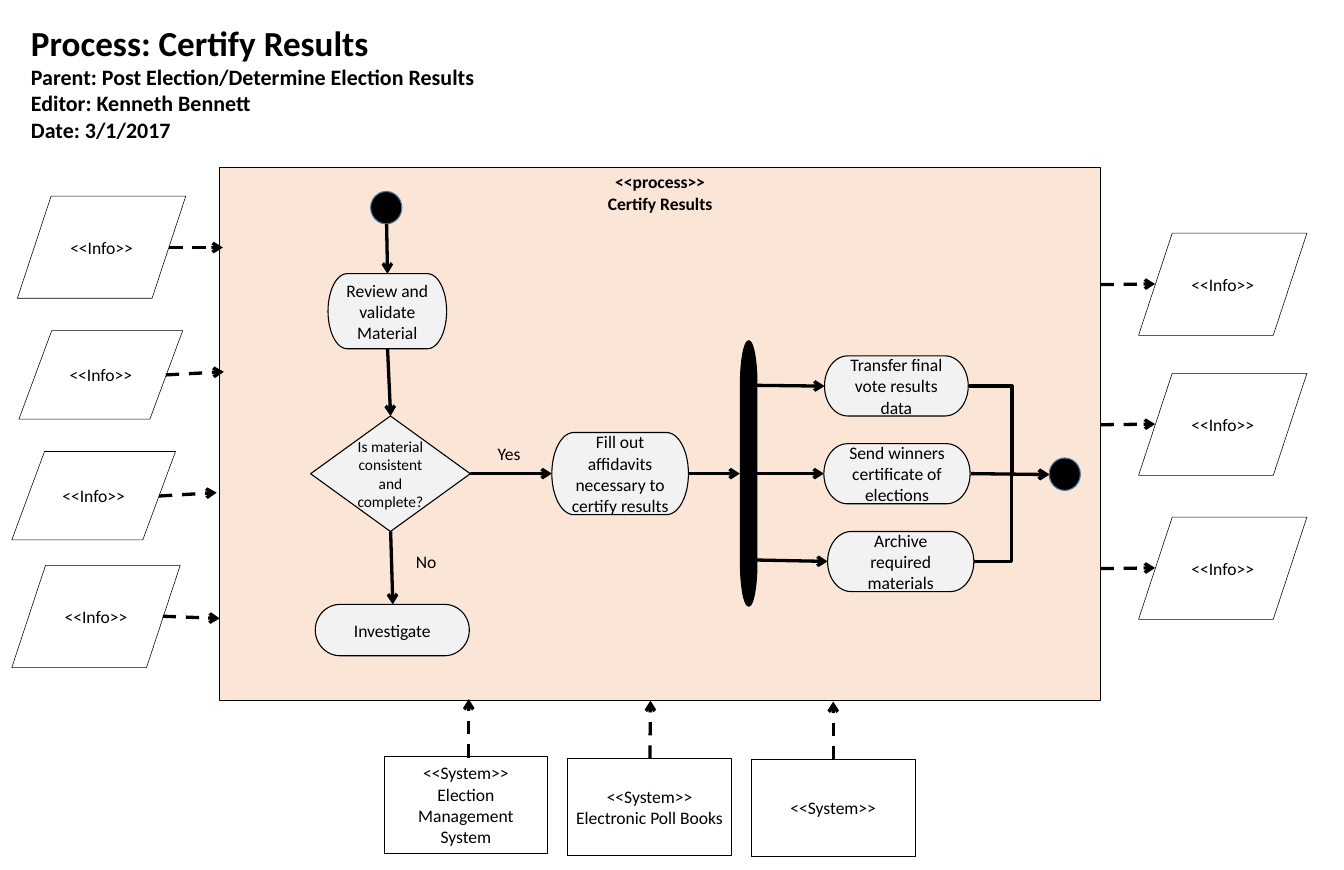
from dataclasses import dataclass

import pptx
import pptx.dml.color
import pptx.enum.dml
import pptx.enum.shapes
import pptx.enum.text
import pptx.oxml
import pptx.oxml.ns
import pptx.util

Cm = pptx.util.Cm
Kind = pptx.enum.shapes.MSO_SHAPE
Link = pptx.enum.shapes.MSO_CONNECTOR
Align = pptx.enum.text.PP_ALIGN
Anchor = pptx.enum.text.MSO_ANCHOR
AutoSize = pptx.enum.text.MSO_AUTO_SIZE

BLACK, GREY, PEACH, BLUE = "000000", "F2F2F2", "FBE5D6", "43739E"
INFO, SYSTEM = "<<Info>>", "<<System>>"


@dataclass
class Node:
    kind: Kind
    left: float
    top: float
    width: float
    height: float
    text: str = ""
    fill: str | None = None
    outline: str = BLACK
    weight: float = 1
    size: float = 16
    bold: bool = False
    anchor: Anchor = Anchor.MIDDLE
    inset: float | None = None
    turn: float = 0


@dataclass
class Arrow:
    x1: float
    y1: float
    x2: float
    y2: float
    dashed: bool = False
    bend: float | None = None


def info(left: float, top: float, width: float, height: float) -> Node:
    return Node(Kind.FLOWCHART_DATA, left, top, width, height, INFO, weight=0.5)


def system(column: int, top: float, text: str) -> Node:
    left = 12.34 + column * 5.9
    return Node(Kind.FLOWCHART_PROCESS, left, top, 5.26, 3.12, text, weight=0.5)


def step(left: float, top: float, width: float, height: float, text: str) -> Node:
    return Node(Kind.FLOWCHART_TERMINATOR, left, top, width, height, text, GREY)


def dot(left: float, top: float) -> Node:
    return Node(Kind.FLOWCHART_CONNECTOR, left, top, 1, 1.04, fill=BLACK, outline=BLUE)


RIGHT_INFO_TOPS = (7.49, 11.99, 16.61)

NODES = [
    Node(Kind.RECTANGLE, 7.06, 5.38, 28.3, 17.12, "<<process>>\nCertify Results",
         PEACH, bold=True, anchor=Anchor.TOP),
    dot(11.91, 6.15),
    dot(33.71, 14.71),
    info(0.56, 6.3, 5.41, 3.28),
    info(0.61, 10.62, 5.26, 2.84),
    info(0.38, 14.5, 5.26, 2.84),
    info(0.38, 18.16, 5.41, 3.28),
    *(info(36.58, top, 5.41, 3.28) for top in RIGHT_INFO_TOPS),
    system(0, 24.28, f"{SYSTEM}\nElection Management System"),
    system(1, 24.36, f"{SYSTEM}\nElectronic Poll Books"),
    system(2, 24.38, SYSTEM),
    step(10.54, 8.79, 3.81, 2.41, "Review and validate Material"),
    Node(Kind.FLOWCHART_DECISION, 9.98, 13.36, 5.13, 3.71,
         "Is material consistent and complete?", GREY, size=14, inset=0.13),
    step(10.13, 19.41, 4.95, 1.65, "Investigate"),
    step(17.73, 13.89, 4.39, 2.64, "Fill out affidavits necessary to certify results"),
    Node(Kind.FLOWCHART_TERMINATOR, 19.79, 14.94, 8.53, 0.53, fill=BLACK, turn=270),
    step(26.49, 11.43, 4.62, 1.93, "Transfer final vote results data"),
    step(26.47, 14.25, 4.7, 1.93, "Send winners certificate of elections"),
    step(26.59, 17.07, 4.7, 1.93, "Archive required materials"),
]

ARROWS = [
    # Information and systems
    Arrow(5.44, 7.95, 7.16, 7.95, dashed=True),
    Arrow(5.33, 12.04, 7.19, 11.94, dashed=True),
    Arrow(5.11, 15.93, 6.96, 15.82, dashed=True),
    Arrow(5.23, 19.79, 7.06, 19.86, dashed=True),
    *(Arrow(35.36, top + 1.65, 37.11, top + 1.63, dashed=True) for top in RIGHT_INFO_TOPS),
    Arrow(15.06, 24.33, 15.06, 22.45, dashed=True),
    Arrow(20.88, 24.36, 20.9, 22.5, dashed=True),
    Arrow(26.77, 24.38, 26.77, 22.53, dashed=True),
    # Flow inside the process
    Arrow(12.42, 7.19, 12.45, 8.79),
    Arrow(12.45, 11.18, 12.55, 13.36),
    Arrow(12.55, 17.07, 12.62, 19.41),
    Arrow(15.11, 15.21, 17.73, 15.21),
    Arrow(22.12, 15.21, 23.77, 15.21),
    Arrow(23.85, 12.37, 26.49, 12.4),
    Arrow(24.31, 15.21, 26.47, 15.21),
    Arrow(24.05, 17.98, 26.59, 18.03),
    Arrow(31.12, 12.4, 33.71, 15.24, bend=0.54),
    Arrow(31.19, 15.21, 33.71, 15.24),
    Arrow(31.29, 18.03, 33.71, 15.24, bend=0.5),
]


def colour(value: str) -> pptx.dml.color.RGBColor:
    return pptx.dml.color.RGBColor.from_string(value)


def apply(target: object, values: dict) -> None:
    """Set each named attribute of the target."""
    for name, value in values.items():
        setattr(target, name, value)


def write(frame, text: str, sizes: list[float], align: Align, bold: bool = False) -> None:
    """Fill the frame with one paragraph a line; the last size serves the remaining lines."""
    frame.text = text
    frame.word_wrap = True
    for index, para in enumerate(frame.paragraphs):
        para.alignment = align
        size = sizes[min(index, len(sizes) - 1)]
        for span in para.runs:
            apply(span.font, {"name": "Calibri", "size": pptx.util.Pt(size), "bold": bold})
            span.font.color.rgb = colour(BLACK)


def draw_node(page, node: Node) -> None:
    box = page.shapes.add_shape(node.kind, Cm(node.left), Cm(node.top),
                                Cm(node.width), Cm(node.height))
    box.shadow.inherit = False
    box.rotation = node.turn
    if node.fill:
        box.fill.solid()
        box.fill.fore_color.rgb = colour(node.fill)
    else:
        box.fill.background()
    box.line.color.rgb = colour(node.outline)
    box.line.width = pptx.util.Pt(node.weight)
    if node.text:
        write(box.text_frame, node.text, [node.size], Align.CENTER, node.bold)
        box.text_frame.vertical_anchor = node.anchor
    if node.inset is not None:
        sides = ("margin_left", "margin_top", "margin_right", "margin_bottom")
        apply(box.text_frame, dict.fromkeys(sides, Cm(node.inset)))


def draw_arrow(page, arrow: Arrow) -> None:
    link = Link.STRAIGHT if arrow.bend is None else Link.ELBOW
    connector = page.shapes.add_connector(link, Cm(arrow.x1), Cm(arrow.y1),
                                          Cm(arrow.x2), Cm(arrow.y2))
    connector.line.color.rgb = colour(BLACK)
    connector.line.width = pptx.util.Pt(3)
    if arrow.dashed:
        connector.line.dash_style = pptx.enum.dml.MSO_LINE.DASH
    properties = connector._element.spPr
    namespace = pptx.oxml.ns.nsdecls("a")
    head = pptx.oxml.parse_xml(f'<a:tailEnd {namespace} type="arrow"/>')
    connector.line._get_or_add_ln().append(head)
    properties.append(pptx.oxml.parse_xml(f"<a:effectLst {namespace}/>"))
    if arrow.bend is not None:
        guide = f'<a:gd {namespace} name="adj1" fmla="val {round(arrow.bend * 100000)}"/>'
        properties.prstGeom.get_or_add_avLst().append(pptx.oxml.parse_xml(guide))


def draw_label(page, left: float, top: float, text: str) -> None:
    box = page.shapes.add_textbox(Cm(left), Cm(top), Cm(1.73), Cm(0.94))
    write(box.text_frame, text, [16], Align.CENTER)
    box.text_frame.auto_size = AutoSize.SHAPE_TO_FIT_TEXT


def draw_title(page) -> None:
    title = page.shapes.title
    apply(title, {"left": Cm(0.74), "top": Cm(0.56), "width": Cm(39.6), "height": Cm(4.19)})
    text = ("Process: Certify Results\nParent: Post Election/Determine Election Results\n"
            "Editor: Kenneth Bennett\nDate: 3/1/2017")
    write(title.text_frame, text, [32, 20], Align.LEFT, bold=True)
    apply(title.text_frame, {"vertical_anchor": Anchor.TOP, "auto_size": AutoSize.NONE})


def main() -> None:
    deck = pptx.Presentation()
    apply(deck, {"slide_width": Cm(43.18), "slide_height": Cm(27.94)})
    page = deck.slides.add_slide(deck.slide_layouts[5])
    draw_title(page)
    for node in NODES:
        draw_node(page, node)
    for arrow in ARROWS:
        draw_arrow(page, arrow)
    draw_label(page, 12.83, 17.58, "No")
    draw_label(page, 15.49, 14.1, "Yes")
    deck.save("out.pptx")


if __name__ == "__main__":
    main()
